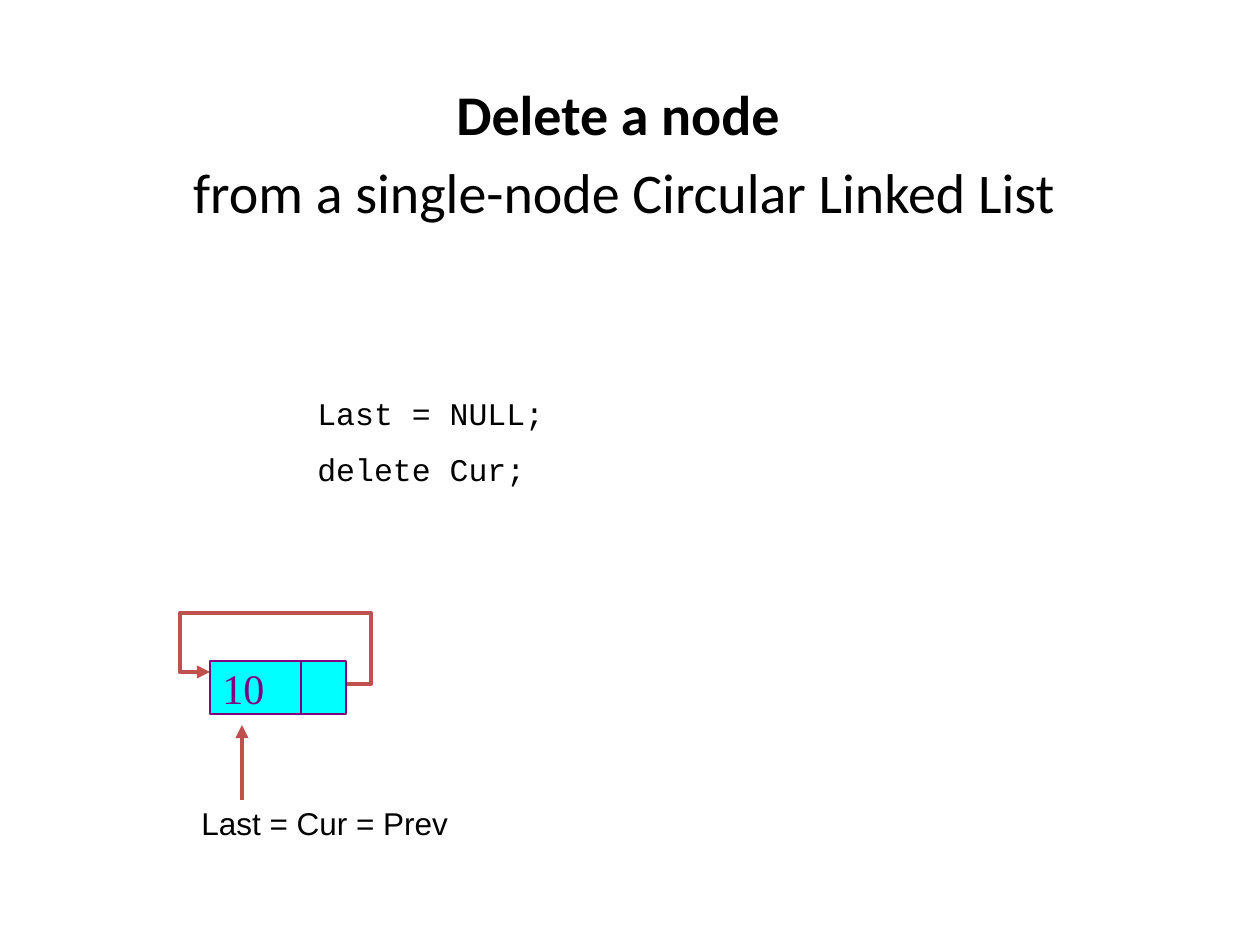
from dataclasses import dataclass

from lxml import etree
from pptx import Presentation
from pptx.dml.color import RGBColor
from pptx.enum.shapes import MSO_CONNECTOR, MSO_SHAPE
from pptx.enum.text import MSO_ANCHOR, MSO_AUTO_SIZE, PP_ALIGN
from pptx.oxml.ns import qn
from pptx.util import Emu, Pt

STRAIGHT, ELBOW = MSO_CONNECTOR.STRAIGHT, MSO_CONNECTOR.ELBOW
RECTANGLE = MSO_SHAPE.RECTANGLE
MIDDLE, TOP = MSO_ANCHOR.MIDDLE, MSO_ANCHOR.TOP
NO_AUTOFIT = MSO_AUTO_SIZE.NONE
LEFT, CENTER = PP_ALIGN.LEFT, PP_ALIGN.CENTER
PX_PER_INCH = 126


@dataclass(frozen=True)
class Style:
    """Hold the font, size, colour and spacing of a kind of text."""
    font: str
    size: int
    color: str = "000000"
    before: int = 0


class Theme:
    """Keep the colours and type styles of the slide."""
    heading = Style("Calibri", 32, before=6)
    code = Style("Courier New", 18, before=10)
    label = Style("Arial", 18, before=4)
    value = Style("Times New Roman", 24, "800080")
    node_fill = "00FFFF"
    node_line = "800080"
    arrow = "C0504D"
    node_width = 1
    arrow_width = 2.5


def px(n):
    """Turn pixels into EMU."""
    return Emu(round(n * 914400 / PX_PER_INCH))


def rgb(color):
    """Turn a hex string into a colour."""
    return RGBColor.from_string(color)


def set_text(tf, text, style, align=LEFT):
    """Fill a text frame and format its paragraphs."""
    tf.text = text
    for p in tf.paragraphs:
        p.alignment = align
        p.space_before = Pt(style.before)
        for r in p.runs:
            r.font.name = style.font
            r.font.size = Pt(style.size)
            r.font.color.rgb = rgb(style.color)


def add_heading(s, box, text):
    """Put the heading in the body placeholder, first line bold."""
    sp = s.placeholders[1]
    sp.left, sp.top, sp.width, sp.height = map(px, box)
    tf = sp.text_frame
    tf.auto_size = NO_AUTOFIT
    tf.vertical_anchor = TOP
    set_text(tf, text, Theme.heading, CENTER)
    for p in tf.paragraphs:
        pPr = p._p.get_or_add_pPr()
        pPr.set("marL", "0")
        pPr.set("indent", "0")
        etree.SubElement(pPr, qn("a:buNone"))
    tf.paragraphs[0].runs[0].font.bold = True


def add_label(s, box, text, style):
    """Add a wrapping text box."""
    tf = s.shapes.add_textbox(*map(px, box)).text_frame
    tf.word_wrap = True
    set_text(tf, text, style)


def add_arrow(s, kind, start, end):
    """Add a connector with an arrowhead at its end."""
    line = s.shapes.add_connector(kind, *map(px, start + end))
    line.line.color.rgb = rgb(Theme.arrow)
    line.line.width = Pt(Theme.arrow_width)
    etree.SubElement(line.line._get_or_add_ln(), qn("a:tailEnd"), type="triangle")
    etree.SubElement(line._element.spPr, qn("a:effectLst"))
    return line


def add_loop_arrow(s, start, end, right, top, left):
    """Add a five-part connector that runs round the node."""
    line = add_arrow(s, ELBOW, start, end)
    (x1, y1), (x2, y2) = start, end
    ratios = ((right - x1) / (x2 - x1), (top - y1) / (y2 - y1), (left - x1) / (x2 - x1))
    geom = line._element.spPr.find(qn("a:prstGeom"))
    geom.set("prst", "bentConnector5")
    guides = geom.find(qn("a:avLst"))
    for i, ratio in enumerate(ratios, 1):
        etree.SubElement(guides, qn("a:gd"), name=f"adj{i}", fmla=f"val {round(ratio * 100000)}")


def add_node(s, x, y, height, cells):
    """Add a grouped row of node cells given as width and text."""
    group = s.shapes.add_group_shape()
    for width, text in cells:
        sp = group.shapes.add_shape(RECTANGLE, *map(px, (x, y, width, height)))
        sp.shadow.inherit = False
        sp.fill.solid()
        sp.fill.fore_color.rgb = rgb(Theme.node_fill)
        sp.line.color.rgb = rgb(Theme.node_line)
        sp.line.width = Pt(Theme.node_width)
        if text:
            tf = sp.text_frame
            tf.word_wrap = False
            tf.vertical_anchor = MIDDLE
            set_text(tf, text, Theme.value)
        x += width


def main():
    """Build and save the slide."""
    prs = Presentation()
    prs.slide_width, prs.slide_height = px(1260), px(945)
    s = prs.slides.add_slide(prs.slide_layouts[1])
    title = s.shapes.title._element
    title.getparent().remove(title)

    add_heading(s, (21, 73, 1207, 638), "Delete a node \nfrom a single-node Circular Linked List")
    add_label(s, (189, 798, 305, 50), "Last = Cur = Prev", Theme.label)
    add_arrow(s, STRAIGHT, (242, 800), (242, 725))
    add_loop_arrow(s, (340, 684), (210, 672), right=371, top=613, left=180)
    add_label(s, (305, 388, 630, 108), "Last = NULL;\ndelete Cur;", Theme.code)
    add_node(s, 210, 661, 53, [(91, "10"), (45, "")])
    prs.save("out.pptx")


if __name__ == "__main__":
    main()
